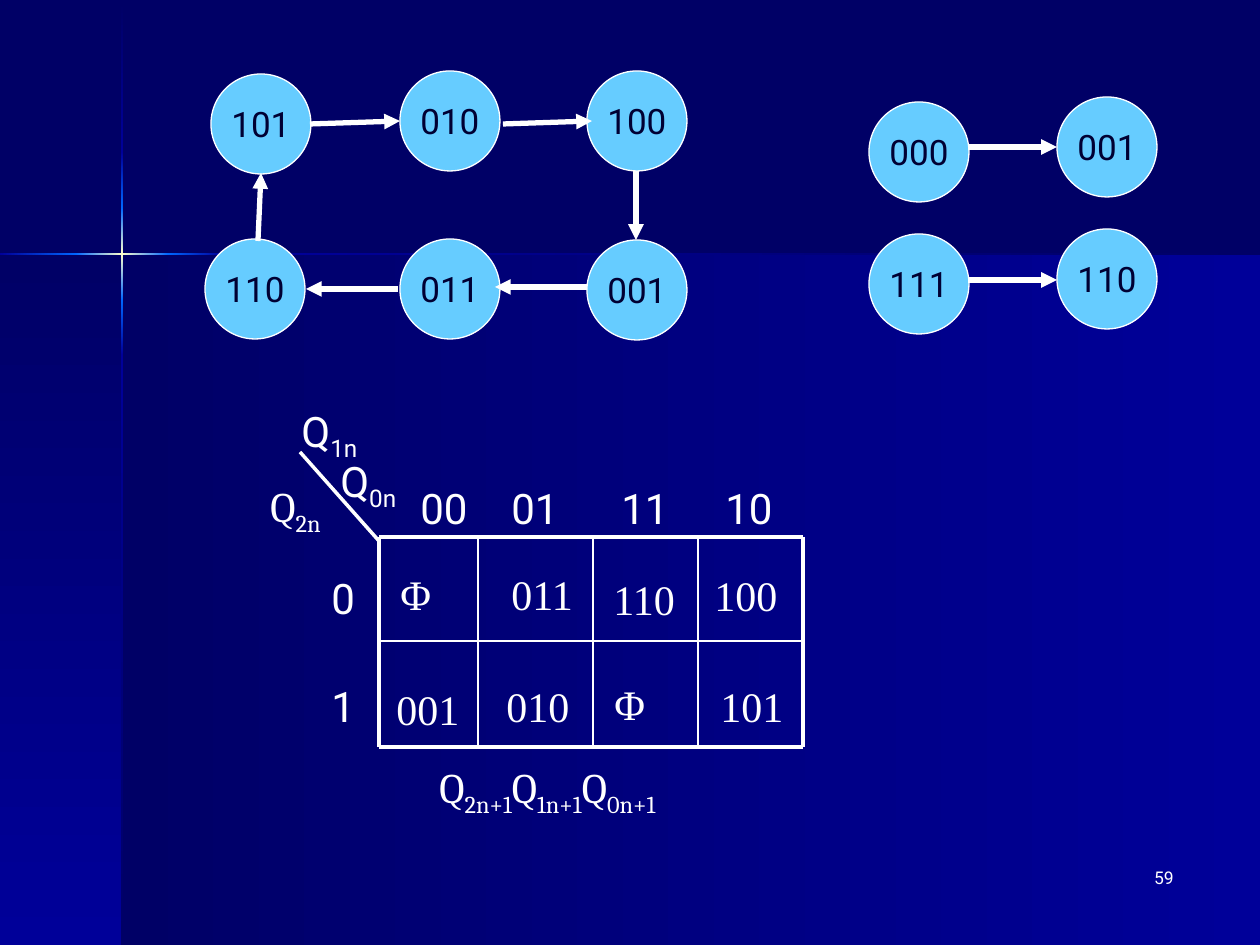
from lxml.etree import SubElement
from pptx import Presentation
from pptx.dml.color import RGBColor
from pptx.enum.shapes import MSO_CONNECTOR, MSO_SHAPE
from pptx.enum.text import MSO_ANCHOR, PP_ALIGN
from pptx.oxml import parse_xml
from pptx.oxml.ns import nsdecls, qn
from pptx.util import Pt

EMU_PER_PX = 914400 / 126
NAVY = RGBColor(0x00, 0x00, 0x66)
BLUE = RGBColor(0x00, 0x00, 0x99)
BRIGHT = RGBColor(0x00, 0x66, 0xFF)
CREAM = RGBColor(0xFF, 0xFF, 0xCC)
SKY = RGBColor(0x66, 0xCC, 0xFF)
INK = RGBColor(0x00, 0x00, 0x33)
WHITE = RGBColor(0xFF, 0xFF, 0xFF)

SANS, SERIF, MATH = "Roboto", "Times New Roman", "Cambria"
RIGHT, DOWN = 0, 90
DIAMETER = 100
LABEL_HEIGHT = 64

# left, top, width, height, gradient direction, colours
BACKDROP = [
    (122, 255, 1138, 690, RIGHT, (NAVY, BLUE)),
    (0, 255, 122, 690, DOWN, (NAVY, BLUE)),
    (121, 1, 2, 151, DOWN, (NAVY, BLUE)),
    (121, 355, 2, 590, DOWN, (BLUE, NAVY)),
    (223, 253, 1037, 2, RIGHT, (BLUE, NAVY)),
    (121, 300, 2, 55, DOWN, (BRIGHT, BLUE)),
    (121, 152, 2, 56, DOWN, (BLUE, BRIGHT)),
    (121, 208, 2, 92, DOWN, (BRIGHT, CREAM, BRIGHT)),
    (0, 253, 77, 2, RIGHT, (BLUE, BRIGHT)),
    (168, 253, 55, 2, RIGHT, (BRIGHT, BLUE)),
    (76, 253, 92, 2, RIGHT, (BRIGHT, CREAM, BRIGHT)),
]

STATES = [
    ("101", 211, 74), ("010", 400, 71), ("100", 587, 71),
    ("001", 587, 240), ("011", 400, 239), ("110", 205, 239),
    ("000", 869, 102), ("001", 1057, 97),
    ("111", 869, 234), ("110", 1057, 229),
]

TRANSITIONS = [
    (310, 124, 400, 121), (503, 124, 592, 121), (636, 171, 636, 240),
    (587, 287, 495, 287), (398, 289, 306, 289), (258, 241, 261, 173),
    (968, 147, 1057, 147), (968, 280, 1057, 280),
]

MAP_COLUMNS = [379, 478, 593, 698, 803]
MAP_ROWS = [537, 641, 747]

# Subscripts follow a bar, and the next bar returns to the baseline
AXIS_LABELS = [
    ("Q|1n", 289, 399, 92, SANS), ("Q|0n", 328, 449, 89, SANS),
    ("Q|2n", 258, 474, 93, MATH),
    ("0", 319, 566, 79, SANS), ("1", 319, 674, 79, SANS),
    ("00", 408, 476, 79, SANS), ("01", 499, 476, 79, SANS),
    ("11", 609, 476, 79, SANS), ("10", 713, 476, 79, SANS),
    ("Q|2n+1|Q|1n+1|Q|0n+1", 427, 755, 307, MATH),
]
CELL_LABELS = [
    ("Φ", 388, 562), ("011", 499, 562), ("110", 601, 567), ("100", 702, 563),
    ("001", 384, 677), ("010", 494, 674), ("Φ", 602, 672), ("101", 708, 674),
]


def px(*lengths):
    return [round(length * EMU_PER_PX) for length in lengths]


def apply(target, values):
    for name, value in values.items():
        setattr(target, name, value)


def add_gradient_panel(slide, bounds, angle, colors):
    panel = slide.shapes.add_shape(MSO_SHAPE.RECTANGLE, *px(*bounds))
    panel.shadow.inherit = False
    panel.line.fill.background()
    step = 100000 // (len(colors) - 1)
    stops = "".join(
        f'<a:gs pos="{index * step}"><a:srgbClr val="{color}"/></a:gs>'
        for index, color in enumerate(colors))
    panel.fill.background()
    properties = panel.element.spPr
    properties.replace(properties.find(qn("a:noFill")), parse_xml(
        f'<a:gradFill {nsdecls("a")} rotWithShape="1"><a:gsLst>{stops}</a:gsLst>'
        f'<a:lin ang="{angle * 60000}" scaled="0"/></a:gradFill>'))


def write_text(para, text, size, font, color):
    for index, part in enumerate(text.split("|")):
        span = para.add_run()
        span.text = part
        apply(span.font, {"size": Pt(size), "name": font})
        span.font.color.rgb = color
        if index % 2:
            span._r.get_or_add_rPr().set("baseline", "-25000")


def add_label(slide, text, left, top, width, font, size=24, align=PP_ALIGN.LEFT):
    box = slide.shapes.add_textbox(*px(left, top, width, LABEL_HEIGHT))
    box.text_frame.word_wrap = True
    para = box.text_frame.paragraphs[0]
    para.alignment = align
    write_text(para, text, size, font, WHITE)


def add_state(slide, code, left, top):
    circle = slide.shapes.add_shape(
        MSO_SHAPE.OVAL, *px(left, top, DIAMETER, DIAMETER))
    circle.shadow.inherit = False
    circle.fill.solid()
    circle.fill.fore_color.rgb = SKY
    circle.line.color.rgb = WHITE
    circle.line.width = Pt(0.75)
    frame = circle.text_frame
    apply(frame, {"margin_left": 0, "margin_right": 0, "margin_top": 0,
                  "margin_bottom": 0, "word_wrap": False,
                  "vertical_anchor": MSO_ANCHOR.MIDDLE})
    para = frame.paragraphs[0]
    para.alignment = PP_ALIGN.CENTER
    write_text(para, code, 20, SANS, INK)


def add_line(slide, ends, width, arrow=False):
    line = slide.shapes.add_connector(MSO_CONNECTOR.STRAIGHT, *px(*ends))
    line.line.color.rgb = WHITE
    line.line.width = Pt(width)
    if arrow:
        SubElement(line.get_or_add_ln(), qn("a:tailEnd"), type="triangle")
    SubElement(line.element.spPr, qn("a:effectLst"))


def add_map_grid(slide):
    left, right = MAP_COLUMNS[0], MAP_COLUMNS[-1]
    top, bottom = MAP_ROWS[0], MAP_ROWS[-1]
    for y in MAP_ROWS:
        add_line(slide, (left, y, right, y), 2.25 if y in (top, bottom) else 1)
    for x in MAP_COLUMNS:
        add_line(slide, (x, top, x, bottom), 2.25 if x in (left, right) else 1)
    add_line(slide, (300, 452, left, 541), 2)


def main():
    deck = Presentation()
    deck.slide_width, deck.slide_height = px(1260, 945)
    slide = deck.slides.add_slide(deck.slide_layouts[6])
    slide.background.fill.solid()
    slide.background.fill.fore_color.rgb = NAVY

    for *bounds, angle, colors in BACKDROP:
        add_gradient_panel(slide, bounds, angle, colors)
    add_label(slide, "59", 924, 861, 262, SANS, 10, PP_ALIGN.RIGHT)

    add_map_grid(slide)
    for label in AXIS_LABELS:
        add_label(slide, *label)
    for text, left, top in CELL_LABELS:
        add_label(slide, text, left, top, 95, SERIF)

    for state in STATES:
        add_state(slide, *state)
    for ends in TRANSITIONS:
        add_line(slide, ends, 3, arrow=True)
    deck.save("out.pptx")


if __name__ == "__main__":
    main()
